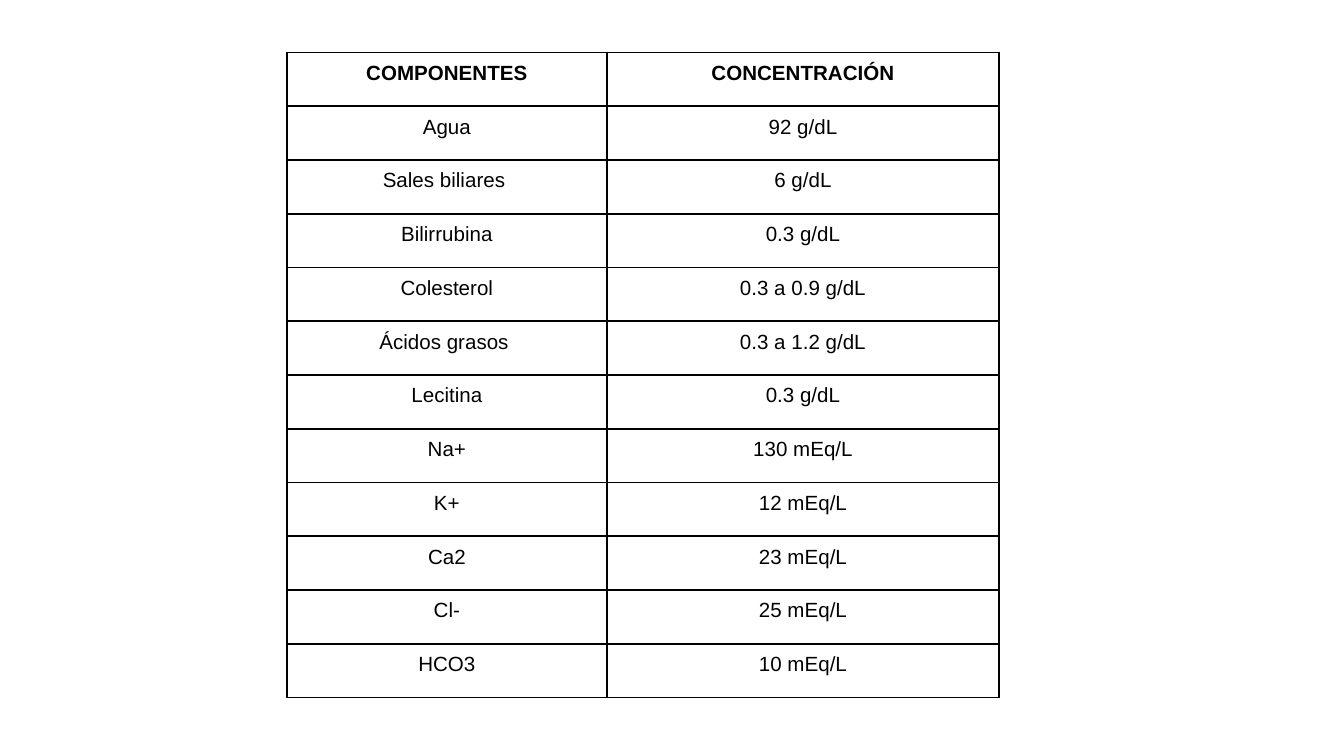
from dataclasses import dataclass

from lxml.etree import SubElement
from pptx import Presentation
from pptx.dml.color import RGBColor
from pptx.enum.text import MSO_ANCHOR, PP_ALIGN
from pptx.oxml.ns import qn
from pptx.util import Emu, Pt

EMU_PER_PX = 4572  # 200 px to the inch
SLIDE_WIDTH, SLIDE_HEIGHT = 2000, 1125
TABLE_LEFT, TABLE_TOP = 427, 78
COLUMN_WIDTHS = (476, 584)
ROW_HEIGHT = 80
CELL_MARGIN = 14
BLACK = "000000"
CELL_FORMAT = {"vertical_anchor": MSO_ANCHOR.TOP} | {
    f"margin_{side}": Emu(CELL_MARGIN * EMU_PER_PX)
    for side in ("left", "right", "top", "bottom")
}
FONT_FORMAT = {"name": "Arial", "size": Pt(11)}


@dataclass(frozen=True)
class BileComponent:
    name: str
    concentration: str


HEADER = BileComponent("COMPONENTES", "CONCENTRACIÓN")
COMPONENTS = [
    BileComponent("Agua", "92 g/dL"),
    BileComponent("Sales biliares ", "6 g/dL"),
    BileComponent("Bilirrubina", "0.3 g/dL"),
    BileComponent("Colesterol", "0.3 a 0.9 g/dL"),
    BileComponent("Ácidos grasos ", "0.3 a 1.2 g/dL"),
    BileComponent("Lecitina", "0.3 g/dL"),
    BileComponent("Na+", "130 mEq/L"),
    BileComponent("K+", "12 mEq/L"),
    BileComponent("Ca2", "23 mEq/L"),
    BileComponent("Cl-", "25 mEq/L"),
    BileComponent("HCO3", "10 mEq/L"),
]


def px(length: int) -> Emu:
    return Emu(length * EMU_PER_PX)


def color(value: str) -> RGBColor:
    return RGBColor.from_string(value)


def apply_format(target: object, values: dict) -> None:
    for name, value in values.items():
        setattr(target, name, value)


def add_borders(cell, line_color: str, width: Pt) -> None:
    """Draw the four cell borders; they must come before the cell's fill."""
    properties = cell._tc.get_or_add_tcPr()
    for side in ("lnL", "lnR", "lnT", "lnB"):
        line = SubElement(properties, qn(f"a:{side}"), w=str(int(width)))
        fill = SubElement(line, qn("a:solidFill"))
        SubElement(fill, qn("a:srgbClr"), val=line_color)


def write_cell(cell, text: str, bold: bool) -> None:
    apply_format(cell, CELL_FORMAT)
    add_borders(cell, BLACK, Pt(1))
    cell.fill.background()
    paragraph = cell.text_frame.paragraphs[0]
    paragraph.alignment = PP_ALIGN.CENTER
    run = paragraph.add_run()
    run.text = text
    apply_format(run.font, FONT_FORMAT | {"bold": bold})
    run.font.color.rgb = color(BLACK)


def add_component_table(slide, rows: list[BileComponent]) -> None:
    table = slide.shapes.add_table(
        len(rows), len(COLUMN_WIDTHS), px(TABLE_LEFT), px(TABLE_TOP),
        px(sum(COLUMN_WIDTHS)), px(ROW_HEIGHT * len(rows)),
    ).table
    apply_format(table, {"first_row": False, "horz_banding": False})
    for column, width in zip(table.columns, COLUMN_WIDTHS):
        column.width = px(width)
    for table_row, component in zip(table.rows, rows):
        table_row.height = px(ROW_HEIGHT)
        texts = (component.name, component.concentration)
        for cell, text in zip(table_row.cells, texts):
            write_cell(cell, text, bold=component is HEADER)


def main() -> None:
    presentation = Presentation()
    presentation.slide_width = px(SLIDE_WIDTH)
    presentation.slide_height = px(SLIDE_HEIGHT)
    # Blank layout: the slide holds only the table
    slide = presentation.slides.add_slide(presentation.slide_layouts[6])
    add_component_table(slide, [HEADER, *COMPONENTS])
    presentation.save("out.pptx")


if __name__ == "__main__":
    main()
